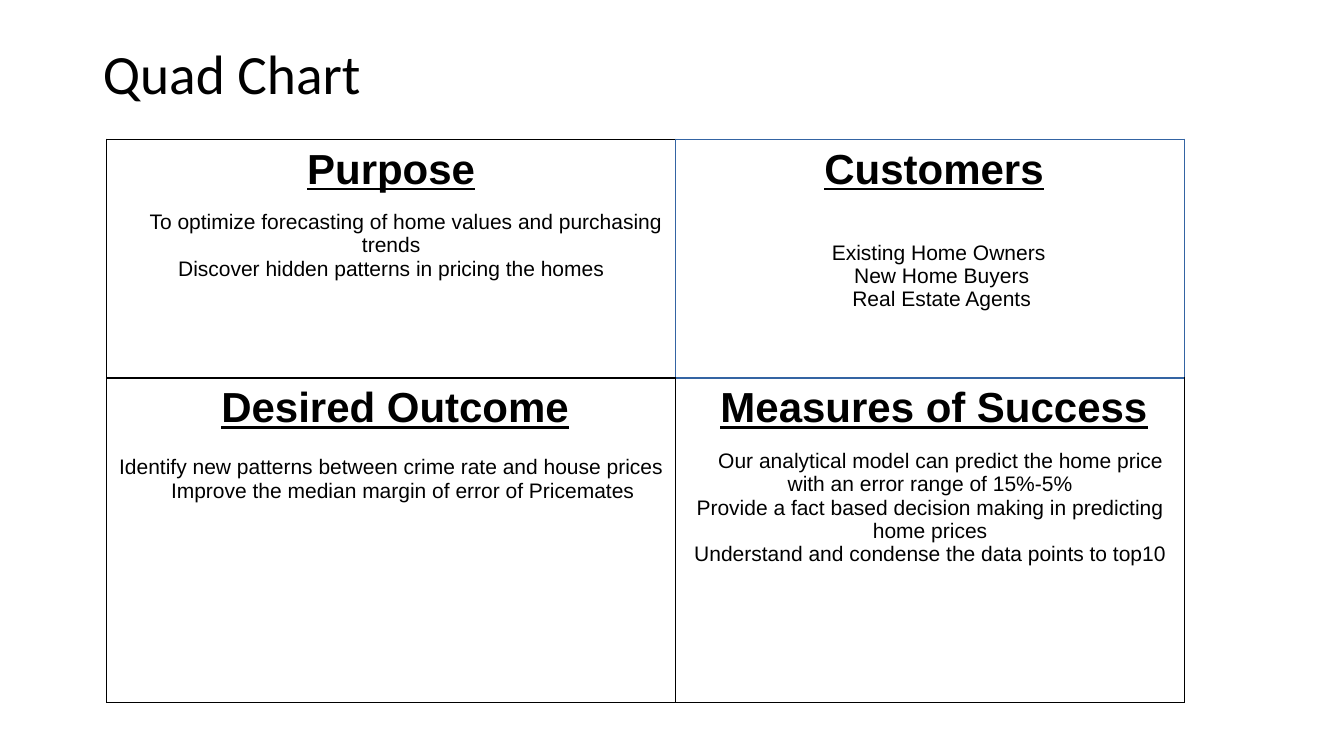
"""Build a quad chart slide with a title and a two by two table."""
from dataclasses import dataclass

from lxml import etree
from pptx import Presentation
from pptx.dml.color import RGBColor
from pptx.enum.text import MSO_ANCHOR, MSO_AUTO_SIZE, PP_ALIGN
from pptx.oxml.ns import qn
from pptx.slide import Slide
from pptx.table import Table, _Cell
from pptx.text.text import _Paragraph
from pptx.util import Inches, Pt

CENTER = PP_ALIGN.CENTER
LEFT = PP_ALIGN.LEFT
MIDDLE = MSO_ANCHOR.MIDDLE
TOP = MSO_ANCHOR.TOP
NO_AUTOFIT = MSO_AUTO_SIZE.NONE

BLACK = RGBColor(0x00, 0x00, 0x00)
BLUE = RGBColor(0x34, 0x64, 0xA3)

TITLE_FORMAT = {"name": "Calibri", "size": Pt(39.6), "bold": False}
HEADING_FORMAT = {"name": "Arial", "size": Pt(30), "bold": True, "underline": True}
BODY_FORMAT = {"name": "Arial", "size": Pt(15), "bold": False, "underline": False}
CELL_FORMAT = {
    "margin_left": Inches(0.07),
    "margin_right": Inches(0.07),
    "margin_top": Inches(0.07),
    "margin_bottom": Inches(0.07),
    "vertical_anchor": TOP,
}
COLUMN_WIDTHS = (5.64, 5.05)
ROW_HEIGHTS = (2.37, 3.22)


@dataclass(frozen=True)
class Line:
    text: str
    first_indent: float = 0


@dataclass(frozen=True)
class Quadrant:
    row: int
    column: int
    heading: str
    heading_margin: float
    gap: float
    lines: tuple[Line, ...]
    left: RGBColor = BLACK
    right: RGBColor = BLACK
    top: RGBColor = BLACK
    bottom: RGBColor = BLACK


QUADRANTS = (
    Quadrant(0, 0, "Purpose", 0, 12.65, (
        Line("To optimize forecasting of home values and purchasing trends", 0.29),
        Line("Discover hidden patterns in pricing the homes"),
    ), right=BLUE),
    Quadrant(0, 1, "Customers", 0.08, 34.5, (
        Line("Existing Home Owners", 0.17),
        Line("New Home Buyers", 0.23),
        Line("Real Estate Agents", 0.23),
    ), left=BLUE, right=BLUE, top=BLUE, bottom=BLUE),
    Quadrant(1, 0, "Desired Outcome", 0.08, 17.25, (
        Line("Identify new patterns between crime rate and house prices"),
        Line("Improve the median margin of error of Pricemates", 0.23),
    )),
    Quadrant(1, 1, "Measures of Success", 0.08, 12.65, (
        Line("Our analytical model can predict the home price with an error range of 15%-5%", 0.21),
        Line("Provide a fact based decision making in predicting home prices"),
        Line("Understand and condense the data points to top10"),
    ), top=BLUE),
)


def apply_format(target: object, values: dict) -> None:
    for name, value in values.items():
        setattr(target, name, value)


def write_paragraph(paragraph: _Paragraph, text: str, font_format: dict,
                    margin: float = 0, first_indent: float = 0) -> None:
    run = paragraph.add_run()
    run.text = text
    apply_format(run.font, font_format)
    run.font.color.rgb = BLACK
    paragraph.alignment = CENTER
    properties = paragraph._p.get_or_add_pPr()
    properties.set("marL", str(Inches(margin)))
    properties.set("indent", str(Inches(first_indent)))


def draw_borders(cell: _Cell, quadrant: Quadrant) -> None:
    properties = cell._tc.get_or_add_tcPr()
    borders = {"a:lnL": quadrant.left, "a:lnR": quadrant.right,
               "a:lnT": quadrant.top, "a:lnB": quadrant.bottom}
    for tag, color in borders.items():
        border = etree.SubElement(properties, qn(tag), w=str(Pt(1)))
        fill = etree.SubElement(border, qn("a:solidFill"))
        etree.SubElement(fill, qn("a:srgbClr"), val=str(color))


def draw_quadrant(table: Table, quadrant: Quadrant) -> None:
    cell = table.cell(quadrant.row, quadrant.column)
    apply_format(cell, CELL_FORMAT)
    draw_borders(cell, quadrant)
    cell.fill.background()
    text_frame = cell.text_frame
    heading = text_frame.paragraphs[0]
    write_paragraph(heading, quadrant.heading, HEADING_FORMAT, quadrant.heading_margin)
    heading.space_after = Pt(quadrant.gap)
    for line in quadrant.lines:
        write_paragraph(text_frame.add_paragraph(), line.text, BODY_FORMAT,
                        first_indent=line.first_indent)


def draw_title(slide: Slide, text: str) -> None:
    title = slide.shapes.title
    apply_format(title, {"left": Inches(0.92), "top": Inches(0.4),
                         "width": Inches(11.5), "height": Inches(0.71)})
    title.text_frame.text = text
    apply_format(title.text_frame, {"vertical_anchor": MIDDLE, "auto_size": NO_AUTOFIT})
    paragraph = title.text_frame.paragraphs[0]
    apply_format(paragraph, {"alignment": LEFT, "line_spacing": 0.9})
    apply_format(paragraph.runs[0].font, TITLE_FORMAT)
    paragraph.runs[0].font.color.rgb = BLACK


def draw_table(slide: Slide) -> None:
    table = slide.shapes.add_table(
        len(ROW_HEIGHTS), len(COLUMN_WIDTHS), Inches(1.06), Inches(1.38),
        Inches(sum(COLUMN_WIDTHS)), Inches(sum(ROW_HEIGHTS))).table
    apply_format(table, {"first_row": False, "horz_banding": False})
    for column, width in zip(table.columns, COLUMN_WIDTHS):
        column.width = Inches(width)
    for row, height in zip(table.rows, ROW_HEIGHTS):
        row.height = Inches(height)
    for quadrant in QUADRANTS:
        draw_quadrant(table, quadrant)


def main() -> None:
    presentation = Presentation()
    presentation.slide_width = Inches(13.33)
    presentation.slide_height = Inches(7.5)
    slide = presentation.slides.add_slide(presentation.slide_layouts.get_by_name("Title Only"))
    draw_title(slide, "Quad Chart")
    draw_table(slide)
    presentation.save("out.pptx")


if __name__ == "__main__":
    main()
